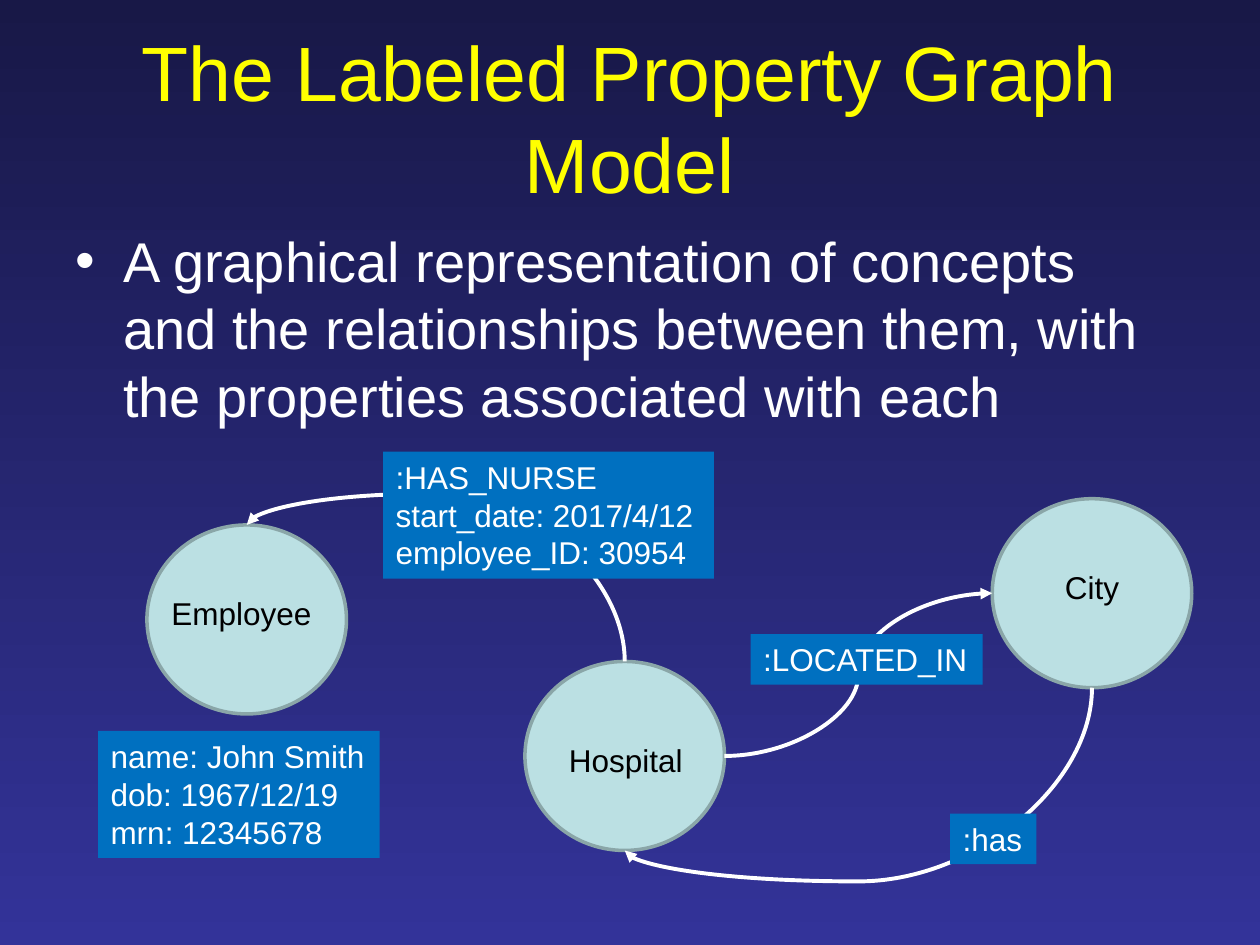
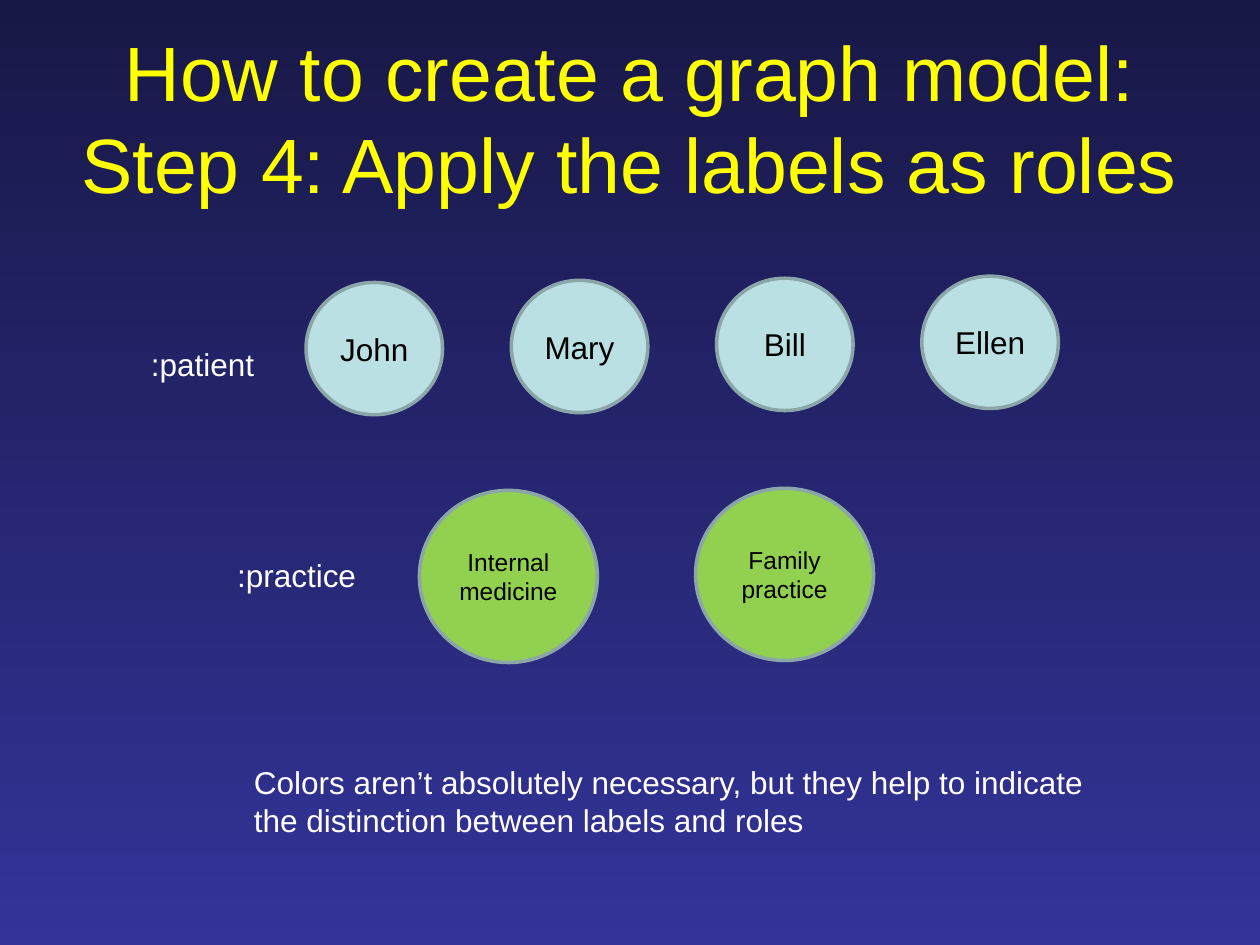
from lxml.etree import SubElement
from pptx import Presentation
from pptx.dml.color import RGBColor
from pptx.enum.shapes import MSO_CONNECTOR, MSO_SHAPE
from pptx.enum.text import MSO_ANCHOR, MSO_AUTO_SIZE, PP_ALIGN
from pptx.oxml.ns import qn
from pptx.util import Inches, Pt

# Shared look; every length is in cells of a 120 x 90 grid
COLS, ROWS = 120, 90
CELL = Inches(10) / COLS
FONT = "Arial"
COLORS = {
    "bg_top": "181847", "bg_bottom": "333399", "title": "FFFF00",
    "white": "FFFFFF", "black": "000000", "label": "0070C0",
    "node": "BBE0E3", "practice": "92D050", "outline": "8AA6A8",
}
# Connection sites of an ellipse: index and share of width and height
SITES = {"top": (0, 0.5, 0), "left": (2, 0, 0.5),
         "bottom": (4, 0.5, 1), "right": (6, 1, 0.5)}


def rgb(name):
    return RGBColor.from_string(COLORS[name])


def cells(*values):
    return [round(v * CELL) for v in values]


def set_background(prs):
    fill = prs.slide_master.background.fill
    fill.gradient()
    fill.gradient_angle = 270
    for stop, name, position in zip(fill.gradient_stops, ("bg_top", "bg_bottom"), (0, 1)):
        stop.color.rgb = rgb(name)
        stop.position = position


def write(tf, paragraphs, size, color, align=PP_ALIGN.LEFT):
    """One paragraph per string; a newline inside a string is a line break."""
    for i, text in enumerate(paragraphs):
        p = tf.paragraphs[0] if i == 0 else tf.add_paragraph()
        p.alignment = align
        for j, line in enumerate(text.split("\n")):
            if j:
                p.add_line_break()
            r = p.add_run()
            r.text = line
            r.font.name = FONT
            r.font.size = Pt(size)
            r.font.color.rgb = rgb(color)


def add_text(s, box, paragraphs, size=18, color="white", align=PP_ALIGN.LEFT,
             anchor=MSO_ANCHOR.TOP, wrap=True):
    sp = s.shapes.add_textbox(*cells(*box))
    tf = sp.text_frame
    tf.word_wrap = wrap
    tf.vertical_anchor = anchor
    if not wrap:
        tf.auto_size = MSO_AUTO_SIZE.SHAPE_TO_FIT_TEXT
    write(tf, paragraphs, size, color, align)
    return sp


def add_title(s, text):
    add_text(s, (6, 3.6, 108, 15), [text], 44, "title", PP_ALIGN.CENTER, MSO_ANCHOR.MIDDLE)


def add_bullet(s, box, text):
    sp = add_text(s, box, [text], 32)
    pPr = sp.text_frame.paragraphs[0]._p.get_or_add_pPr()
    indent = Inches(0.38)
    pPr.set("marL", str(indent))
    pPr.set("indent", str(-indent))
    SubElement(pPr, qn("a:buFont"), typeface=FONT)
    SubElement(pPr, qn("a:buChar"), char="•")


def add_tag(s, box, *lines):
    sp = add_text(s, box, lines, wrap=False)
    sp.fill.solid()
    sp.fill.fore_color.rgb = rgb("label")


def add_circle(s, box, fill="node", text=None, size=18):
    sp = s.shapes.add_shape(MSO_SHAPE.OVAL, *cells(*box))
    sp.shadow.inherit = False
    sp.fill.solid()
    sp.fill.fore_color.rgb = rgb(fill)
    sp.line.color.rgb = rgb("outline")
    sp.line.width = Pt(2)
    if text:
        tf = sp.text_frame
        tf.word_wrap = True
        tf.vertical_anchor = MSO_ANCHOR.MIDDLE
        write(tf, [text], size, "black", PP_ALIGN.CENTER)
    return sp


def add_node(s, left, top, text, label_box, align=PP_ALIGN.CENTER):
    """Circle with its label; label_box is dx, dy, width inside the circle."""
    sp = add_circle(s, (left, top, 19, 18))
    dx, dy, width = label_box
    add_text(s, (left + dx, top + dy, width, 4.8), [text], color="black", align=align)
    return sp


def add_curve(s, start, start_site, end, end_site, rotation=0, flip=False, bend=0.5):
    """Curved arrow between two circles; rotation is in degrees."""
    links, points = [], []
    for sp, site in ((start, start_site), (end, end_site)):
        index, fx, fy = SITES[site]
        links.append((sp.shape_id, index))
        points.append((sp.left + fx * sp.width, sp.top + fy * sp.height))
    (x1, y1), (x2, y2) = points
    mid_x, mid_y = (x1 + x2) / 2, (y1 + y2) / 2
    half_w, half_h = abs(x2 - x1) / 2, abs(y2 - y1) / 2
    if rotation % 180:
        half_w, half_h = half_h, half_w
    corners = (mid_x - half_w, mid_y - half_h, mid_x + half_w, mid_y + half_h)
    c = s.shapes.add_connector(MSO_CONNECTOR.CURVE, *[round(v) for v in corners])
    c.line.color.rgb = rgb("white")
    c.line.width = Pt(2.25)

    # Direction, bend, arrowhead and ends
    spPr = c._element.spPr
    xfrm = spPr.find(qn("a:xfrm"))
    xfrm.set("rot", str(rotation * 60000))
    if flip:
        xfrm.set("flipV", "1")
    guides = spPr.find(qn("a:prstGeom")).get_or_add_avLst()
    SubElement(guides, qn("a:gd"), name="adj1", fmla=f"val {round(bend * 100000)}")
    SubElement(spPr.find(qn("a:ln")), qn("a:tailEnd"), type="triangle")
    SubElement(spPr, qn("a:effectLst"))
    ends = c._element.find(".//" + qn("p:cNvCxnSpPr"))
    for tag, (shape_id, index) in zip(("a:stCxn", "a:endCxn"), links):
        SubElement(ends, qn(tag), id=str(shape_id), idx=str(index))


def build_property_graph(s):
    add_title(s, "The Labeled Property Graph Model")
    add_bullet(s, (6, 21, 108, 20),
               "A graphical representation of concepts and the relationships "
               "between them, with the properties associated with each")

    # Nodes
    employee = add_node(s, 14, 50, "Employee", (1, 6, 16))
    hospital = add_node(s, 50, 63, "Hospital", (3, 7, 13.5), PP_ALIGN.LEFT)
    city = add_node(s, 94.5, 47.5, "City", (3.5, 6, 12))

    # Relationships
    add_curve(s, hospital, "top", employee, "top", 270, True, 1.23)
    add_curve(s, hospital, "right", city, "left", flip=True)
    add_curve(s, city, "bottom", hospital, "bottom", 90, bend=1.19)

    # Properties and relationship labels
    add_tag(s, (9.35, 69.6, 26.8, 12.1),
            "name: John Smith", "dob: 1967/12/19", "mrn: 12345678")
    add_tag(s, (36.5, 43, 31.5, 12.1),
            ":HAS_NURSE", "start_date: 2017/4/12", "employee_ID: 30954")
    add_tag(s, (71.5, 60.4, 22.1, 4.8), ":LOCATED_IN")
    add_tag(s, (90.5, 77.5, 8.2, 4.8), ":has")


def build_roles(s):
    add_title(s, "How to create a graph model:\nStep 4: Apply the labels as roles")

    # Each row of circles rises slightly to the right
    rise = 0.2
    for i, name in enumerate(("John", "Mary", "Bill", "Ellen")):
        add_circle(s, (29.15 + 19.55 * i, 26.9 - rise * i, 13, 12.6), "node", name)
    for i, name in enumerate(("Internal medicine", "Family practice")):
        add_circle(s, (39.95 + 26.3 * i, 46.7 - rise * i, 16.95, 16.4), "practice", name, 14)

    # Role labels and closing note
    add_text(s, (13.2, 32.3, 12.7, 4.8), [":patient"], wrap=False)
    add_text(s, (21.4, 52.4, 13.9, 4.8), [":practice"], wrap=False)
    add_text(s, (23, 72.1, 83, 8.5),
             ["Colors aren’t absolutely necessary, but they help to indicate",
              "the distinction between labels and roles"], wrap=False)


def main():
    prs = Presentation()
    prs.slide_width, prs.slide_height = cells(COLS, ROWS)
    set_background(prs)
    for build in (build_property_graph, build_roles):
        build(prs.slides.add_slide(prs.slide_layouts[6]))
    prs.save("out.pptx")


if __name__ == "__main__":
    main()
